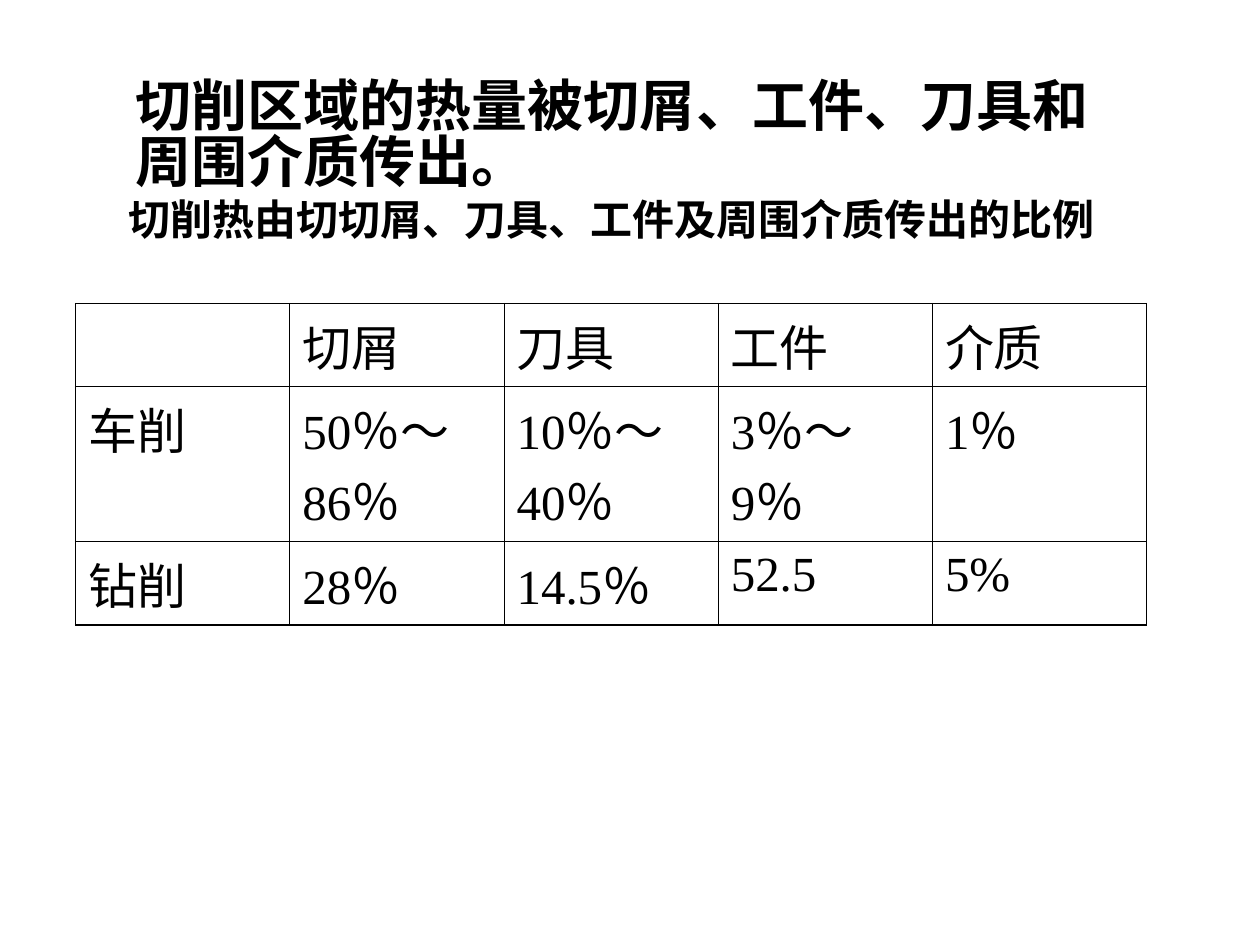
from pptx import Presentation
from pptx.dml.color import RGBColor
from pptx.enum.text import PP_ALIGN
from pptx.oxml import parse_xml
from pptx.oxml.ns import nsdecls
from pptx.util import Inches, Pt

BLACK = RGBColor(0, 0, 0)
FONT = "Times New Roman"
LEFT, WIDTH = Inches(0.6), Inches(8.5)
OUTER, INNER = Pt(1.08), Pt(0.45)
ROW_HEIGHTS = (0.66, 1.23, 0.66)
HEAT_SHARES = (
    ("", "切屑", "刀具", "工件", "介质"),
    ("车削", "50％～86％", "10％～40％", "3％～9％", "1％"),
    ("钻削", "28％", "14.5％", "52.5", "5%"),
)


def style(p, size, bold=False):
    p.font.name, p.font.size, p.font.bold = FONT, Pt(size), bold
    p.font.color.rgb = BLACK


def add_heading(slide):
    tf = slide.shapes.add_textbox(LEFT, Inches(0.6), WIDTH, Inches(1.73)).text_frame
    tf.word_wrap = True
    title, caption = tf.paragraphs[0], tf.add_paragraph()
    title.text = "切削区域的热量被切屑、工件、刀具和周围介质传出。"
    caption.text = "切削热由切切屑、刀具、工件及周围介质传出的比例"
    for p, size in ((title, 32), (caption, 24)):
        style(p, size, bold=True)
        p.line_spacing = 0.83
    title._p.get_or_add_pPr().set("marL", str(Inches(0.38)))
    caption.alignment = PP_ALIGN.CENTER
    caption.space_before = Pt(5)


def set_borders(cell, **widths):
    """Draw cell borders; lines must come before the fill in tcPr."""
    tc_pr = cell._tc.get_or_add_tcPr()
    for i, (side, width) in enumerate(widths.items()):
        tc_pr.insert(i, parse_xml(
            f'<a:ln{side} {nsdecls("a")} w="{width}"><a:solidFill>'
            f'<a:srgbClr val="{BLACK}"/></a:solidFill></a:ln{side}>'))


def add_table(slide, rows):
    n_rows, n_cols = len(rows), len(rows[0])
    table = slide.shapes.add_table(
        n_rows, n_cols, LEFT, Inches(2.41), WIDTH, Inches(sum(ROW_HEIGHTS))).table
    table.first_row = table.horz_banding = False
    for r, texts in enumerate(rows):
        table.rows[r].height = Inches(ROW_HEIGHTS[r])
        for c, text in enumerate(texts):
            cell = table.cell(r, c)
            cell.text = text
            cell.fill.background()
            p = cell.text_frame.paragraphs[0]
            style(p, 28)
            p.space_before = Pt(7)
            set_borders(
                cell,
                L=OUTER if c == 0 else INNER,
                R=OUTER if c == n_cols - 1 else INNER,
                T=OUTER if r == 0 else INNER,
                B=OUTER if r == n_rows - 1 else INNER)


def main():
    prs = Presentation()
    prs.slide_width, prs.slide_height = Inches(10), Inches(7.5)
    slide = prs.slides.add_slide(prs.slide_layouts[6])
    add_heading(slide)
    add_table(slide, HEAT_SHARES)
    prs.save("out.pptx")


if __name__ == "__main__":
    main()
